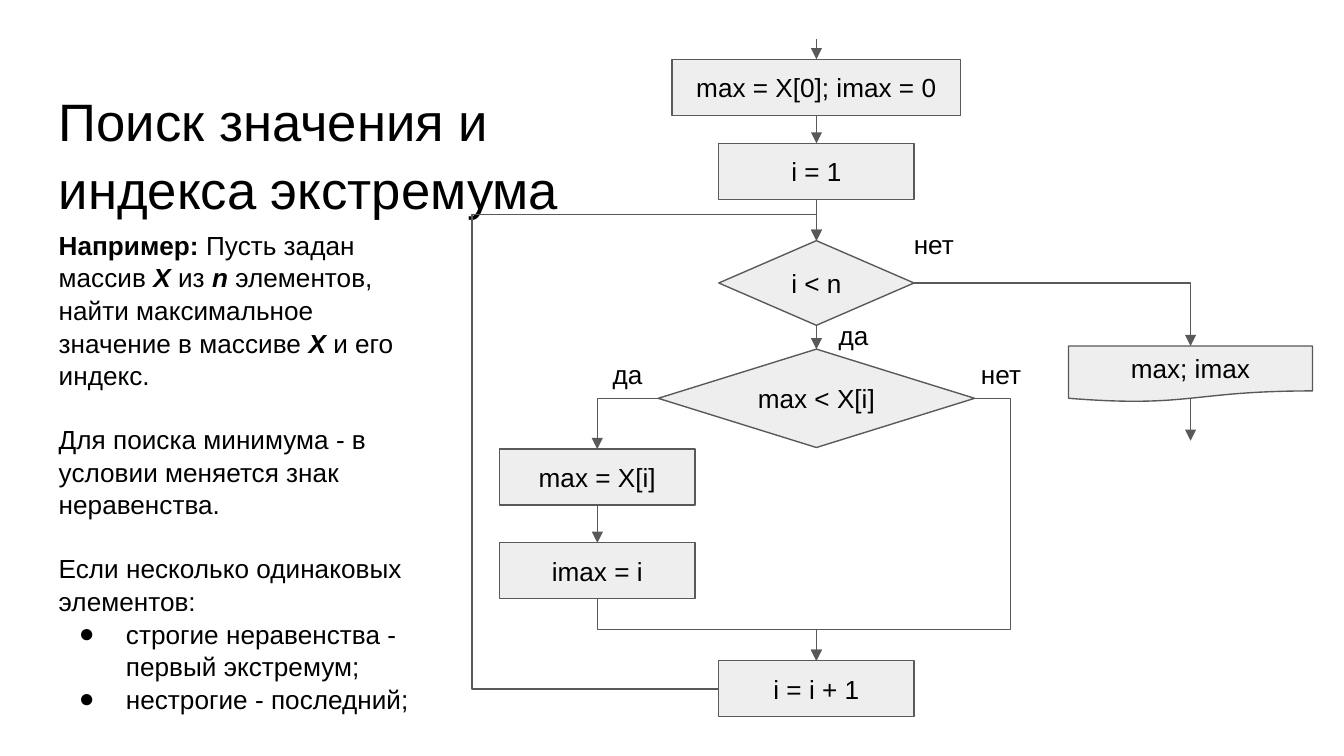
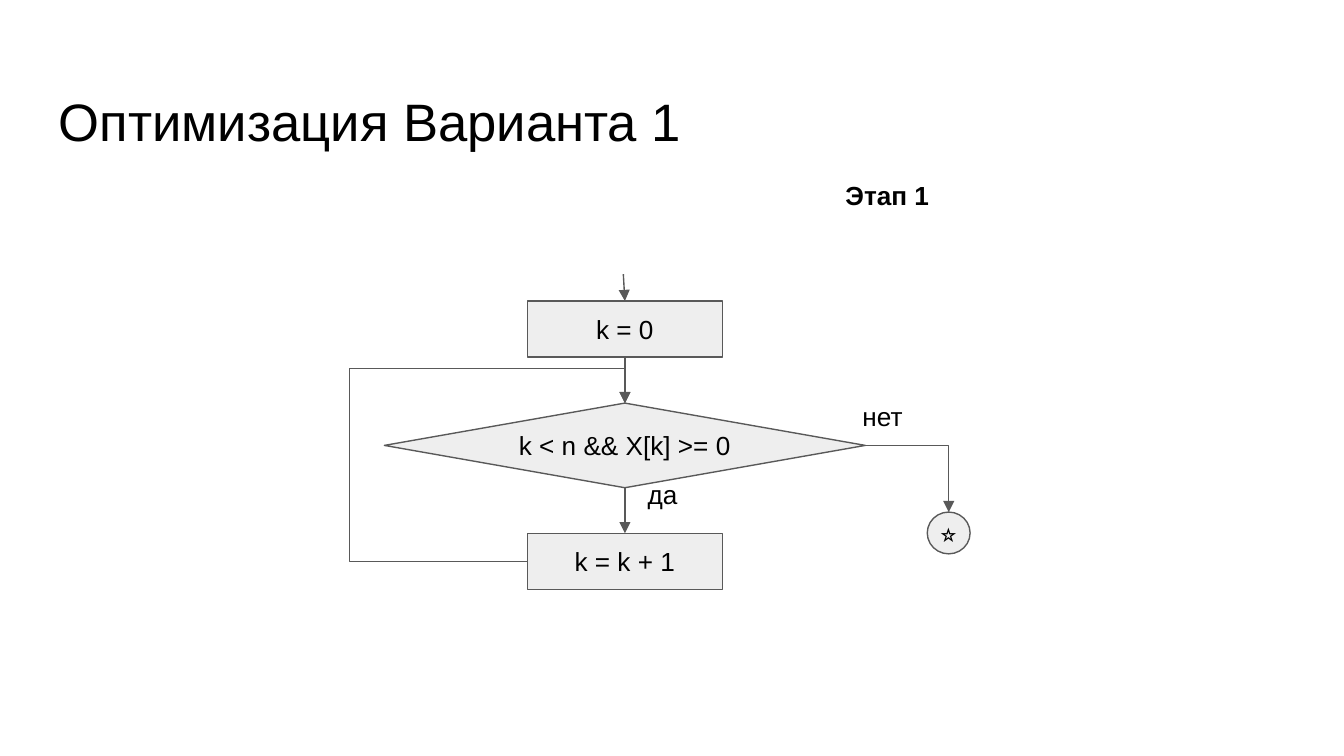
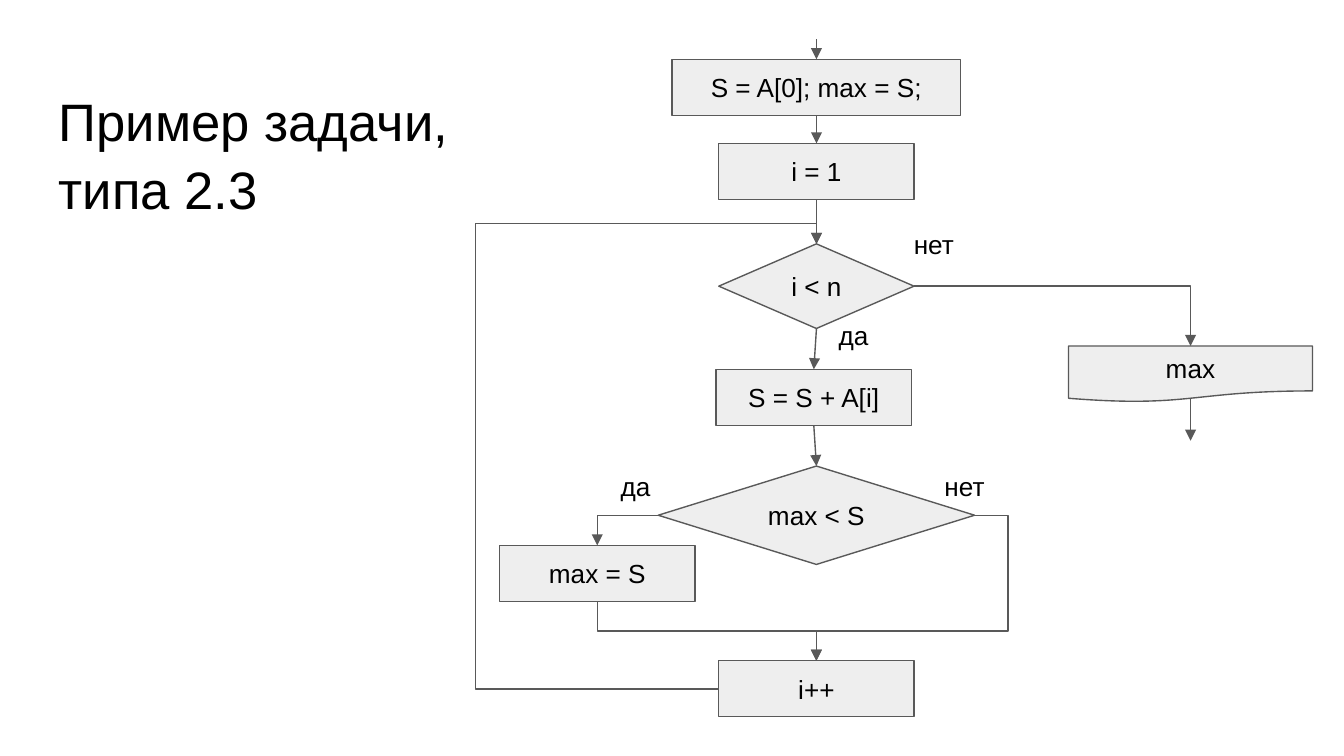
import enum
from dataclasses import dataclass

import pptx
import pptx.dml.color
import pptx.enum.shapes
import pptx.enum.text
import pptx.oxml
import pptx.oxml.ns
import pptx.util
from pptx.util import Cm

qn = pptx.oxml.ns.qn
PRESET = pptx.enum.shapes.MSO_SHAPE
ALIGN = pptx.enum.text.PP_ALIGN
ANCHOR = pptx.enum.text.MSO_ANCHOR
AUTO_SIZE = pptx.enum.text.MSO_AUTO_SIZE


@dataclass(frozen=True)
class Theme:
    font: str = "Arial"
    text: str = "000000"
    fill: str = "EEEEEE"
    line: str = "595959"
    line_width: float = 0.75
    title_size: float = 28.2
    text_size: float = 14
    title_spacing: float = 1.07
    text_spacing: float = 1.04
    inset: float = 0.25


THEME = Theme()
BLOCK = (3.69, 1.06)
WIDE_BLOCK = (5.46, 1.06)
OUTPUT = (4.61, 1.06)
CHECK = (3.69, 1.6)
COMPARE = (5.98, 1.86)
LABEL = (1.45, 1.11)


class Side(enum.IntEnum):
    """Connection sites in the order of the preset shapes."""
    TOP = 0
    LEFT = 1
    BOTTOM = 2
    RIGHT = 3


def rgb(value):
    return pptx.dml.color.RGBColor.from_string(value)


def style_font(paragraph, size, bold=None):
    font = paragraph.font
    font.name, font.size, font.bold = THEME.font, pptx.util.Pt(size), bold
    font.color.rgb = rgb(THEME.text)


def prepare_frame(frame, anchor=ANCHOR.TOP, inset=THEME.inset):
    frame.word_wrap = True
    frame.auto_size = AUTO_SIZE.NONE
    frame.vertical_anchor = anchor
    frame.margin_left = frame.margin_right = Cm(inset)
    frame.margin_top = frame.margin_bottom = Cm(inset)


def place(shape, left, top, width, height):
    shape.left, shape.top = Cm(left), Cm(top)
    shape.width, shape.height = Cm(width), Cm(height)


def add_titled_slide(deck, layout, title, width, height):
    slide = deck.slides.add_slide(deck.slide_layouts[layout])
    heading = slide.shapes.title
    place(heading, 0.86, 1.35, width, height)
    prepare_frame(heading.text_frame)
    paragraph = heading.text_frame.paragraphs[0]
    paragraph.text = title
    paragraph.alignment = ALIGN.LEFT
    paragraph.line_spacing = THEME.title_spacing
    style_font(paragraph, THEME.title_size)
    return slide


def set_bullet(paragraph, symbol):
    """Give the paragraph a hanging bullet, or none at all."""
    props = paragraph._p.get_or_add_pPr()
    props.set("marL", str(Cm(1.27) if symbol else 0))
    props.set("indent", str(Cm(-0.89) if symbol else 0))
    if symbol:
        color = props.makeelement(qn("a:buClr"), {})
        color.append(color.makeelement(qn("a:srgbClr"), {"val": THEME.text}))
        props.append(color)
        props.append(props.makeelement(qn("a:buChar"), {"char": symbol}))
    else:
        props.append(props.makeelement(qn("a:buNone"), {}))


def add_explanation(slide, left, top, width, height):
    body = slide.placeholders[1]
    place(body, left, top, width, height)
    frame = body.text_frame
    prepare_frame(frame)
    # Each row: runs as (text, bold, italic), bullet, space before in points
    rows = [
        ([("Например: ", True, False), ("Пусть задан массив ", False, False),
          ("X", True, True), (" из ", False, False), ("n", True, True),
          (" элементов, найти максимальное значение в массиве ", False, False),
          ("X ", True, True), ("и его индекс.", False, False)], None, 0),
        ([("Для поиска минимума - в условии меняется знак неравенства.",
           None, None)], None, 16.8),
        ([("Если несколько одинаковых элементов:", None, None)], None, 16.8),
        ([("строгие неравенства - первый экстремум;", None, None)], "●", 0),
        ([("нестрогие - последний;", None, None)], "●", 0),
    ]
    for index, (runs, symbol, gap) in enumerate(rows):
        paragraph = frame.add_paragraph() if index else frame.paragraphs[0]
        set_bullet(paragraph, symbol)
        paragraph.alignment = ALIGN.LEFT
        paragraph.line_spacing = THEME.text_spacing
        paragraph.space_before = pptx.util.Pt(gap)
        style_font(paragraph, THEME.text_size)
        for text, bold, italic in runs:
            run = paragraph.add_run()
            run.text = text
            run.font.bold, run.font.italic = bold, italic


class Flowchart:
    """Nodes, labels and arrows in centimetres from the box corner."""

    def __init__(self, slide, left, top):
        self.shapes = slide.shapes
        self.left, self.top = left, top

    def point(self, x, y):
        return Cm(self.left + x), Cm(self.top + y)

    def node(self, text, center, top, size, preset=PRESET.RECTANGLE,
             inset=THEME.inset):
        width, height = size
        shape = self.shapes.add_shape(
            preset, *self.point(center - width / 2, top), Cm(width), Cm(height))
        shape.shadow.inherit = False
        shape.fill.solid()
        shape.fill.fore_color.rgb = rgb(THEME.fill)
        shape.line.color.rgb = rgb(THEME.line)
        shape.line.width = pptx.util.Pt(THEME.line_width)
        prepare_frame(shape.text_frame, ANCHOR.MIDDLE, inset)
        paragraph = shape.text_frame.paragraphs[0]
        paragraph.text = text
        paragraph.alignment = ALIGN.CENTER
        style_font(paragraph, THEME.text_size)
        return shape

    def label(self, text, left, top, size=LABEL, align=ALIGN.LEFT, bold=None):
        box = self.shapes.add_textbox(
            *self.point(left, top), Cm(size[0]), Cm(size[1]))
        prepare_frame(box.text_frame)
        paragraph = box.text_frame.paragraphs[0]
        paragraph.text = text
        paragraph.alignment = align
        style_font(paragraph, THEME.text_size, bold)

    def arrow(self, start, end, bent=False):
        kind = pptx.enum.shapes.MSO_CONNECTOR
        arrow = self.shapes.add_connector(
            kind.ELBOW if bent else kind.STRAIGHT, *start, *end)
        arrow.line.color.rgb = rgb(THEME.line)
        arrow.line.width = pptx.util.Pt(THEME.line_width)
        line = arrow.line._get_or_add_ln()
        line.append(line.makeelement(qn("a:tailEnd"), {"type": "triangle"}))
        props = arrow._element.spPr
        props.append(props.makeelement(qn("a:effectLst"), {}))
        return arrow

    def link(self, source, target, leave=Side.BOTTOM, enter=Side.TOP, bent=False):
        origin = self.point(0, 0)
        arrow = self.arrow(origin, origin, bent)
        arrow.begin_connect(source, leave)
        arrow.end_connect(target, enter)
        return arrow

    def entry(self, node, x, y):
        arrow = self.arrow(self.point(x, y), self.point(x, y))
        arrow.end_connect(node, Side.TOP)

    def exit(self, x, y, length):
        self.arrow(self.point(x, y), self.point(x, y + length))

    @staticmethod
    def reshape(arrow, preset, *ratios):
        geometry = arrow._element.spPr.find(qn("a:prstGeom"))
        geometry.set("prst", preset)
        guides = geometry.find(qn("a:avLst"))
        for number, ratio in enumerate(ratios, 1):
            guides.append(guides.makeelement(qn("a:gd"), {
                "name": f"adj{number}", "fmla": f"val {round(ratio * 100000)}"}))

    def corner(self, source, target, leave):
        """Sideways, then down."""
        self.reshape(self.link(source, target, leave, bent=True), "bentConnector2")

    def detour(self, source, target, leave, lane_x, lane_y):
        """Out to a vertical lane, along it, then back to the target's axis."""
        arrow = self.link(source, target, leave, bent=True)
        x, y = self.point(lane_x, lane_y)
        rise = arrow.end_y - arrow.begin_y
        self.reshape(arrow, "bentConnector4",
                     (x - arrow.begin_x) / (arrow.end_x - arrow.begin_x),
                     (y - arrow.begin_y) / rise)
        if rise < 0:
            frame = arrow._element.spPr.find(qn("a:xfrm"))
            frame.attrib.pop("flipV", None)
            frame.set("rot", "10800000")
            frame.set("flipH", "1")

    def step_down(self, source, target):
        """Down, right, then down, with the turn halfway."""
        arrow = self.link(source, target, bent=True)
        self.reshape(arrow, "bentConnector3", 0.5)
        mid_x = (arrow.begin_x + arrow.end_x) // 2
        mid_y = (arrow.begin_y + arrow.end_y) // 2
        arrow.width, arrow.height = arrow.height, arrow.width
        arrow.left, arrow.top = mid_x - arrow.width // 2, mid_y - arrow.height // 2
        frame = arrow._element.spPr.find(qn("a:xfrm"))
        frame.set("rot", "16200000")
        frame.set("flipH", "1")


AXIS, BRANCH_AXIS, OUTPUT_AXIS = 6.53, 2.39, 13.6
INCREMENT_TOP = 11.75


def add_array_loop(slide, left, top, texts, check_top, lane):
    """Counting loop over an array; returns the chart, its check and increment."""
    chart = Flowchart(slide, left, top)
    setup, increase, result = texts
    init = chart.node(setup, AXIS, 0.38, WIDE_BLOCK)
    counter = chart.node("i = 1", AXIS, 1.97, BLOCK)
    check = chart.node("i < n", AXIS, check_top, CHECK, PRESET.DIAMOND)
    increment = chart.node(increase, AXIS, INCREMENT_TOP, BLOCK)
    output = chart.node(result, OUTPUT_AXIS, 5.8, OUTPUT,
                        PRESET.FLOWCHART_DOCUMENT)
    chart.entry(init, AXIS, 0)
    chart.link(init, counter)
    chart.link(counter, check)
    chart.corner(check, output, Side.RIGHT)
    chart.exit(OUTPUT_AXIS, 6.8, 0.79)
    chart.detour(increment, check, Side.LEFT, *lane)
    chart.label("нет", 8.12, 3.32)
    chart.label("да", 6.7, 5.05)
    return chart, check, increment


def add_comparison(chart, previous, increment, question, question_top,
                   actions, bypass_x, labels):
    """Branch with actions on the left and a bypass on the right."""
    compare = chart.node(question, AXIS, question_top, COMPARE, PRESET.DIAMOND)
    chart.link(previous, compare)
    blocks = [chart.node(text, BRANCH_AXIS, top, BLOCK) for text, top in actions]
    chart.corner(compare, blocks[0], Side.LEFT)
    for upper, lower in zip(blocks, blocks[1:]):
        chart.link(upper, lower)
    chart.step_down(blocks[-1], increment)
    merge_y = (actions[-1][1] + BLOCK[1] + INCREMENT_TOP) / 2
    chart.detour(compare, increment, Side.RIGHT, bypass_x, merge_y)
    yes_x, no_x, label_top = labels
    chart.label("да", yes_x, label_top)
    chart.label("нет", no_x, label_top)


def add_extremum_slide(deck):
    slide = add_titled_slide(deck, 1, "Поиск значения и индекса экстремума",
                             10.46, 5.26)
    add_explanation(slide, 0.86, 4.06, 7.39, 9.5)
    chart, check, increment = add_array_loop(
        slide, 8.9, 0.74, ("max = X[0]; imax = 0", "i = i + 1", "max; imax"),
        3.81, (0.02, 3.32))
    add_comparison(chart, check, increment, "max < X[i]", 5.86,
                   [("max = X[i]", 7.75), ("imax = i", 9.52)],
                   10.2, (2.43, 9.39, 5.79))


def add_search_loop(slide, left, top):
    """Search for the first negative element."""
    chart = Flowchart(slide, left, top)
    axis = 5.21
    chart.label("Этап 1", 8.28, 0, (3.78, 1.11), ALIGN.CENTER, True)
    start = chart.node("k = 0", axis, 2.54, BLOCK)
    condition = chart.node("k < n && X[k] >= 0", axis, 4.47, (9.09, 1.6),
                           PRESET.DIAMOND)
    step = chart.node("k = k + 1", axis, 6.93, BLOCK)
    finish = chart.node("⭐", 11.33, 6.53, (0.81, 0.79), PRESET.OVAL, 0)
    chart.entry(start, axis - 0.03, 2.03)
    chart.link(start, condition)
    chart.link(condition, step)
    chart.corner(condition, finish, Side.RIGHT)
    chart.detour(step, condition, Side.LEFT, 0, 3.81)
    chart.label("нет", 9.45, 4.17)
    chart.label("да", 5.39, 5.64)


def add_optimisation_slide(deck):
    slide = add_titled_slide(deck, 5, "Оптимизация Варианта 1", 13.46, 1.6)
    add_search_loop(slide, 6.6, 3.15)


def add_example_slide(deck):
    slide = add_titled_slide(deck, 5, "Пример задачи, типа 2.3", 8, 2.74)
    chart, check, increment = add_array_loop(
        slide, 8.9, 0.74, ("S = A[0]; max = S;", "i++", "max"),
        3.87, (0.09, 3.48))
    total = chart.node("S = S + A[i]", 6.48, 6.24, BLOCK)
    chart.link(check, total)
    add_comparison(chart, total, increment, "max < S", 8.07,
                   [("max = S", 9.57)], 10.15, (2.58, 8.7, 7.9))


def main():
    deck = pptx.Presentation()
    deck.slide_width, deck.slide_height = Cm(25.4), Cm(14.29)
    add_extremum_slide(deck)
    add_optimisation_slide(deck)
    add_example_slide(deck)
    deck.save("out.pptx")


if __name__ == "__main__":
    main()
